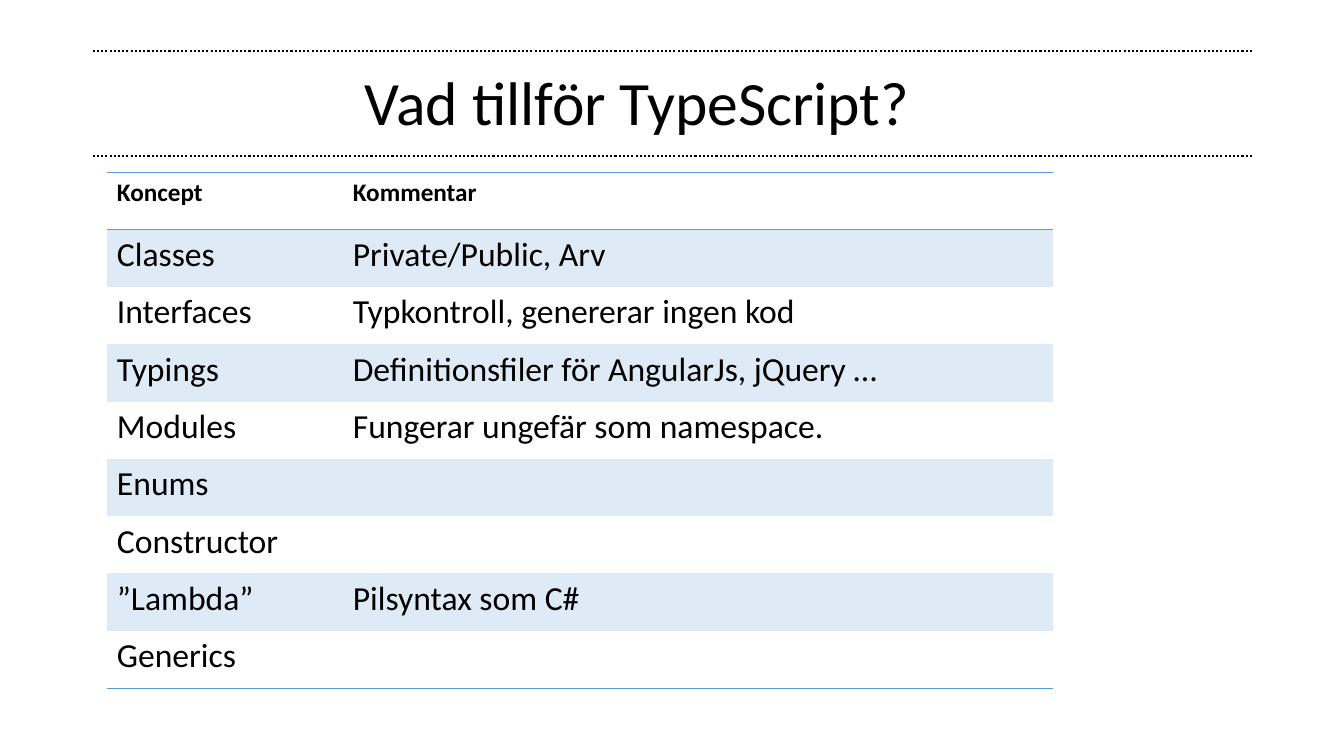
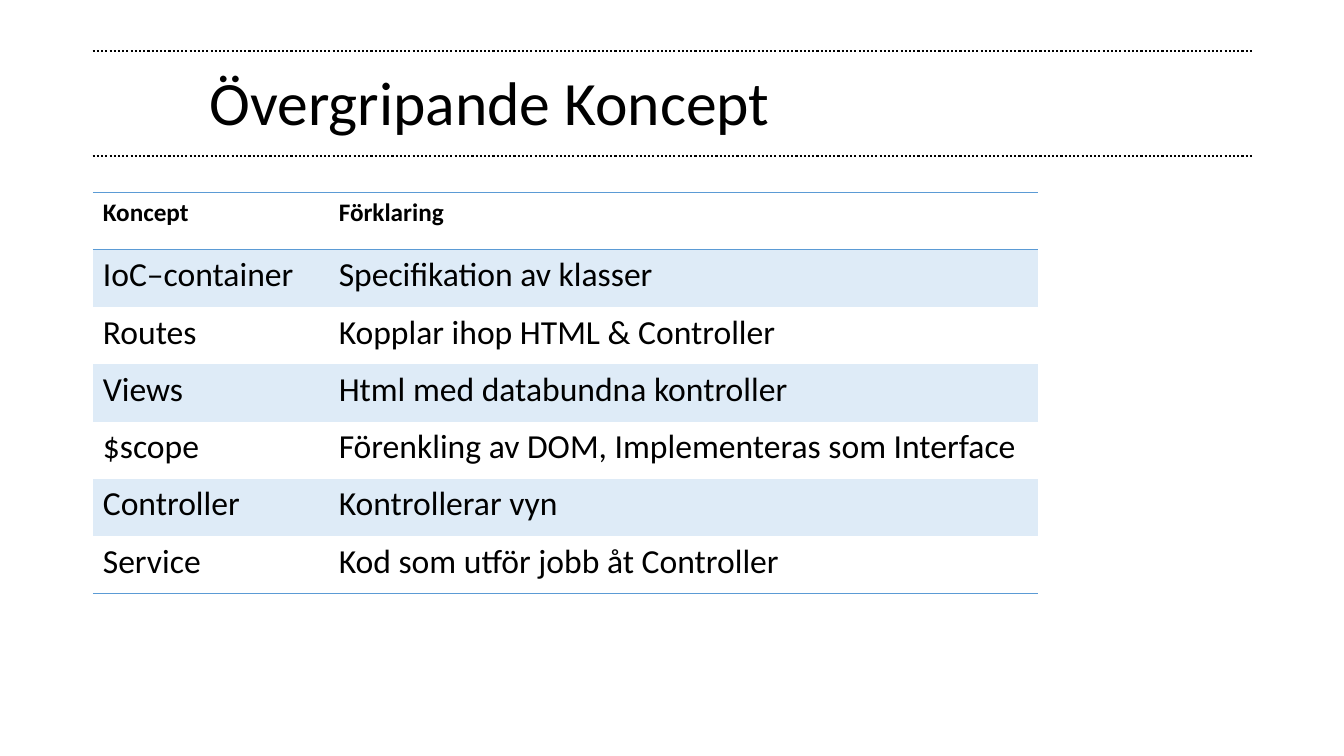
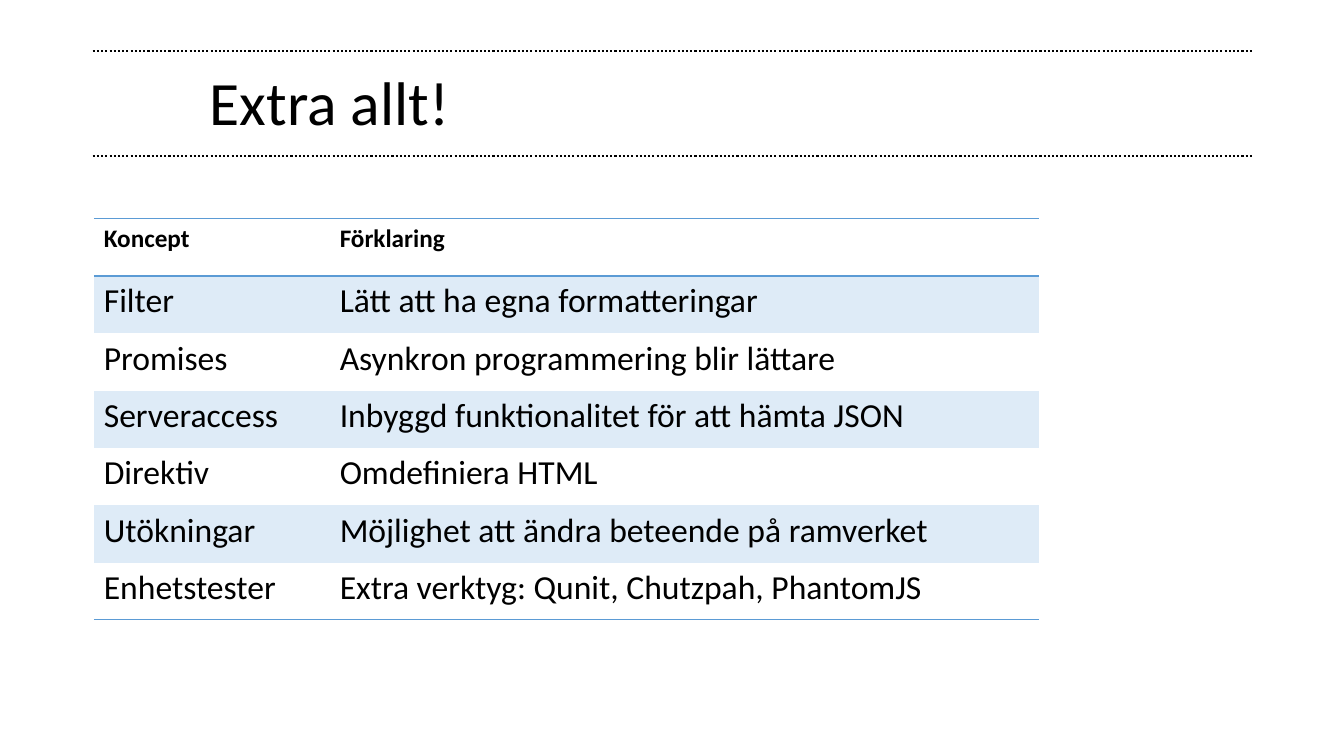
from lxml import etree
from pptx import Presentation
from pptx.dml.color import RGBColor
from pptx.enum import dml, shapes, text
from pptx.oxml.ns import qn
from pptx.util import Inches, Pt

FONT = "Calibri"
BLACK, BLUE, PALE = "000000", "5B9BD5", "DEEBF7"
LEFT, RIGHT = 0.92, 12.42
RULES = (0.51, 1.55)
COLS = (2.34, 7.04)
ROW = 3.98 / 7
PLAIN = "{2D5ABB26-0587-4C30-8999-92F81FD0307C}"  # no style, no grid

# title, title left, table left, table top, rows
SLIDES = [
    ("Vad tillför TypeScript?", 3.52, 1.06, 1.71, [
        ("Koncept", "Kommentar"),
        ("Classes", "Private/Public, Arv"),
        ("Interfaces", "Typkontroll, genererar ingen kod"),
        ("Typings", "Definitionsfiler för AngularJs, jQuery …"),
        ("Modules", "Fungerar ungefär som namespace."),
        ("Enums", ""),
        ("Constructor", ""),
        ("”Lambda”", "Pilsyntax som C#"),
        ("Generics", ""),
    ]),
    ("Övergripande Koncept", 1.98, 0.92, 1.91, [
        ("Koncept", "Förklaring"),
        ("IoC–container", "Specifikation av klasser"),
        ("Routes", "Kopplar ihop HTML & Controller"),
        ("Views", "Html med databundna kontroller"),
        ("$scope", "Förenkling av DOM, Implementeras som Interface"),
        ("Controller", "Kontrollerar vyn"),
        ("Service", "Kod som utför jobb åt Controller"),
    ]),
    ("Extra allt!", 1.98, 0.93, 2.17, [
        ("Koncept", "Förklaring"),
        ("Filter", "Lätt att ha egna formatteringar"),
        ("Promises", "Asynkron programmering blir lättare"),
        ("Serveraccess", "Inbyggd funktionalitet för att hämta JSON"),
        ("Direktiv", "Omdefiniera HTML"),
        ("Utökningar", "Möjlighet att ändra beteende på ramverket"),
        ("Enhetstester", "Extra verktyg: Qunit, Chutzpah, PhantomJS"),
    ]),
]


def color(code):
    return RGBColor.from_string(code)


def write(frame, words, size, bold=False):
    para = frame.paragraphs[0]
    para.text = words
    font = para.font
    font.name, font.size, font.bold = FONT, Pt(size), bold
    font.color.rgb = color(BLACK)
    return para


def add_title(slide, words, left):
    box = slide.shapes.add_textbox(
        Inches(left), Inches(0.32), Inches(RIGHT - left), Inches(1.45))
    frame = box.text_frame
    frame.word_wrap = True
    frame.vertical_anchor = text.MSO_ANCHOR.MIDDLE
    write(frame, words, 44).line_spacing = 0.9


def add_rule(slide, top):
    rule = slide.shapes.add_connector(
        shapes.MSO_CONNECTOR.STRAIGHT,
        Inches(LEFT), Inches(top), Inches(RIGHT), Inches(top))
    rule.line.color.rgb = color(BLACK)
    rule.line.width = Pt(1.5)
    rule.line.dash_style = dml.MSO_LINE.ROUND_DOT
    etree.SubElement(rule.element.spPr, qn("a:effectLst"))


def add_edge(cell, side):
    """Draw a blue border on side "T" or "B"; call before filling the cell."""
    props = cell._tc.get_or_add_tcPr()
    edge = etree.SubElement(props, qn("a:ln" + side), w=str(Pt(1)))
    fill = etree.SubElement(edge, qn("a:solidFill"))
    etree.SubElement(fill, qn("a:srgbClr"), val=BLUE)


def add_grid(slide, left, top, rows):
    """Add a table with a ruled header and pale bands on odd rows."""
    shape = slide.shapes.add_table(
        len(rows), len(COLS), Inches(left), Inches(top),
        Inches(sum(COLS)), Inches(ROW * len(rows)))
    grid = shape.table
    grid.horz_banding = False
    for style in shape.element.iter(qn("a:tableStyleId")):
        style.text = PLAIN
    for col, width in zip(grid.columns, COLS):
        col.width = Inches(width)
    for r, row in enumerate(rows):
        head, last = r == 0, r == len(rows) - 1
        for c, words in enumerate(row):
            cell = grid.cell(r, c)
            write(cell.text_frame, words, 18 if head else 24, head)
            if head:
                add_edge(cell, "T")
            if head or last:
                add_edge(cell, "B")
            if r % 2:
                cell.fill.solid()
                cell.fill.fore_color.rgb = color(PALE)
            else:
                cell.fill.background()


def main():
    deck = Presentation()
    deck.slide_width, deck.slide_height = Inches(13.33), Inches(7.5)
    for title, indent, left, top, rows in SLIDES:
        slide = deck.slides.add_slide(deck.slide_layouts[6])
        add_title(slide, title, indent)
        for height in RULES:
            add_rule(slide, height)
        add_grid(slide, left, top, rows)
    deck.save("out.pptx")


if __name__ == "__main__":
    main()
